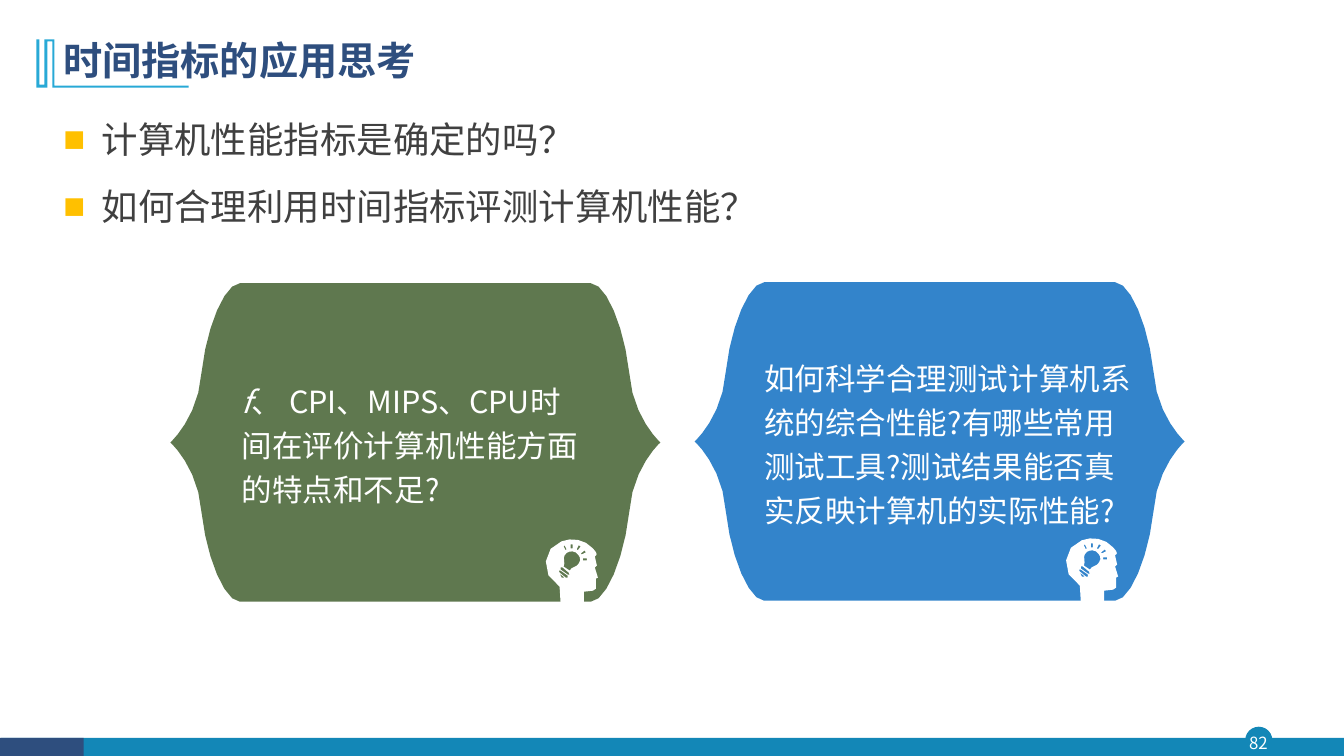
from dataclasses import dataclass

from lxml.etree import SubElement
from pptx import Presentation
from pptx.dml.color import RGBColor
from pptx.enum.shapes import MSO_SHAPE as Preset
from pptx.enum.text import MSO_ANCHOR as Anchor, PP_ALIGN as Align
from pptx.oxml.ns import qn
from pptx.util import Inches, Pt

FONT = "Noto Sans CJK SC"
WHITE, TEAL, NAVY = "FFFFFF", "1387B7", "2E4E7E"
Segment = tuple[float, ...]
Contour = list[Segment]


@dataclass
class Panel:
    center: tuple[float, float]
    color: str
    text_box: tuple[float, float, float, float]
    runs: list[tuple[str, bool]]
    head_at: tuple[float, float]


PANELS = [
    Panel((4.12, 4.39), "385723", (2.3, 3.69, 3.64, 1.38),
          [("f", True), ("、 CPI、MIPS、CPU时间在评价计算机性能方面的特点和不足?", False)],
          (5.34, 5.33)),
    Panel((9.32, 4.38), "0066BE", (7.48, 3.46, 3.88, 1.83),
          [("如何科学合理测试计算机系统的综合性能?有哪些常用测试工具?"
            "测试结果能否真实反映计算机的实际性能?", False)],
          (10.5, 5.32)),
]
QUESTIONS = ["计算机性能指标是确定的吗？", "如何合理利用时间指标评测计算机性能？"]
BANDS = [
    (Preset.OVAL, (12.35, 7.21, 0.27, 0.27), TEAL),
    (Preset.RECTANGLE, (0.01, 7.32, 13.32, 0.19), TEAL),
    (Preset.RECTANGLE, (0, 7.32, 0.83, 0.19), NAVY),
]
TITLE_MARK: Contour = [
    (0.54, 0.39), (0.54, 0.85), (1.87, 0.85), (1.87, 0.87), (0.52, 0.87), (0.52, 0.41),
    (0.47, 0.41), (0.47, 0.87), (0.36, 0.87), (0.36, 0.39), (0.39, 0.39), (0.39, 0.84),
    (0.44, 0.84), (0.44, 0.39),
]
PANEL_QUARTER: Contour = [
    (2.43, 0), (2.43, 0, 2.15, -0.25, 2.12, -0.7), (2.07, -1.15, 1.89, -1.58, 1.74, -1.58),
]
HEAD_OUTLINE: Contour = [
    (22, 65), (21, 49), (0, 37, 5, 9, 23, 4), (33, 0, 46, 2, 54, 11),
    (60, 17, 57, 18, 57, 18), (56, 19), (58, 28), (56, 30),
    (59, 40), (57, 41), (57, 51), (54, 53), (45, 54), (45, 65),
]
BULB: Contour = [
    (37, 15), (33, 13, 28, 14, 26, 18), (24, 21, 27, 25, 25, 29), (31, 33),
    (33, 29, 38, 30, 40, 26), (43, 22, 41, 18, 37, 15),
]
BULB_DETAILS: list[Contour] = [
    [(29, 38), (22, 33), (20, 33), (21, 35), (27, 40), (29, 40)],
    [(30, 35), (24, 30), (22, 30), (22, 32), (29, 37), (31, 37)],
    [(21, 36), (23, 40), (26, 40)],
    [(44, 23), (48, 23), (48, 21), (44, 21)],
    [(28, 12), (26, 8), (25, 9), (27, 13)],
    [(34, 11), (34, 7), (32, 7), (32, 11)],
    [(43, 17), (47, 15), (46, 13), (42, 16)],
    [(39, 13), (42, 9), (40, 8), (38, 12)],
]
HEAD = [HEAD_OUTLINE, BULB, *BULB_DETAILS]


def rgb(color: str) -> RGBColor:
    return RGBColor.from_string(color)


def paint(shape, color: str, opacity: int = 100) -> None:
    shape.shadow.inherit = False
    shape.fill.solid()
    shape.fill.fore_color.rgb = rgb(color)
    shape.line.fill.background()
    if opacity < 100:
        tint = shape._element.spPr.find(qn("a:solidFill"))[0]
        SubElement(tint, qn("a:alpha"), val=str(opacity * 1000))


def flatten(contour: Contour, steps: int = 4) -> list[tuple[float, float]]:
    points = [contour[0]]
    for segment in contour[1:]:
        if len(segment) == 2:
            points.append(segment)
            continue
        x0, y0 = points[-1]
        x1, y1, x2, y2, x3, y3 = segment
        for step in range(1, steps + 1):
            t = step / steps
            a, b, c, d = (1 - t) ** 3, 3 * t * (1 - t) ** 2, 3 * t * t * (1 - t), t ** 3
            points.append((a * x0 + b * x1 + c * x2 + d * x3,
                           a * y0 + b * y1 + c * y2 + d * y3))
    return points


def add_outline(slide, contours: list[Contour], color: str, at: tuple[float, float] = (0, 0),
                unit: float = 1, opacity: int = 100) -> None:
    builder = None
    for contour in contours:
        start, *rest = [(Inches(at[0] + x * unit), Inches(at[1] + y * unit))
                        for x, y in flatten(contour)]
        if builder is None:
            builder = slide.shapes.build_freeform(*start)
        else:
            builder.move_to(*start)
        builder.add_line_segments(rest, close=True)
    paint(builder.convert_to_shape(), color, opacity)


def panel_outline() -> Contour:
    upper_right = flatten(PANEL_QUARTER, steps=6)
    upper = upper_right + [(-x, y) for x, y in reversed(upper_right)]
    return upper + [(x, -y) for x, y in upper[-2:0:-1]]


def add_text(slide, box: tuple[float, float, float, float],
             paragraphs: list[list[tuple[str, bool]]], *, size: float, color: str = WHITE,
             bold: bool = False, align: Align = Align.LEFT, anchor: Anchor = Anchor.MIDDLE,
             spacing: float = 1, gap: float = 0, bullet: str = "", inset: bool = True) -> None:
    frame = slide.shapes.add_textbox(*map(Inches, box)).text_frame
    frame.word_wrap = True
    frame.vertical_anchor = anchor
    if not inset:
        frame.margin_left = frame.margin_right = frame.margin_top = frame.margin_bottom = 0
    for index, runs in enumerate(paragraphs):
        paragraph = frame.add_paragraph() if index else frame.paragraphs[0]
        if bullet:
            props = paragraph._p.get_or_add_pPr()
            props.set("marL", str(Inches(0.38)))
            props.set("indent", str(-Inches(0.38)))
            SubElement(SubElement(props, qn("a:buClr")), qn("a:srgbClr"), val=bullet)
            SubElement(props, qn("a:buFont"), typeface="Arial")
            SubElement(props, qn("a:buChar"), char="■")
        paragraph.alignment = align
        paragraph.line_spacing = spacing
        if index:
            paragraph.space_before = Pt(gap)
        for text, italic in runs:
            run = paragraph.add_run()
            run.text = text
            font = run.font
            font.size, font.bold, font.italic, font.name = Pt(size), bold, italic, FONT
            font.color.rgb = rgb(color)
            SubElement(font._element, qn("a:ea"), typeface=FONT)


def main() -> None:
    deck = Presentation()
    deck.slide_width, deck.slide_height = Inches(13.33), Inches(7.5)
    slide = deck.slides.add_slide(deck.slide_layouts[6])

    for preset, box, color in BANDS:
        paint(slide.shapes.add_shape(preset, *map(Inches, box)), color)
    add_text(slide, (12.32, 7.21, 0.32, 0.31), [[("82", False)]], size=12,
             align=Align.CENTER, inset=False)

    add_outline(slide, [TITLE_MARK], "28A9D6")
    add_text(slide, (0.53, 0.28, 11.5, 0.68), [[("时间指标的应用思考", False)]], size=28,
             color=NAVY, bold=True, spacing=0.9)
    add_text(slide, (0.53, 1.03, 11.5, 1.33), [[(question, False)] for question in QUESTIONS],
             size=26, color="404040", anchor=Anchor.TOP, spacing=1.2, gap=10, bullet="FFC000")

    for panel in PANELS:
        add_outline(slide, [panel_outline()], panel.color, panel.center, opacity=80)
        add_text(slide, panel.text_box, [panel.runs], size=21.8, spacing=1.2)
        add_outline(slide, HEAD, WHITE, panel.head_at, unit=0.01)

    deck.save("out.pptx")


if __name__ == "__main__":
    main()
